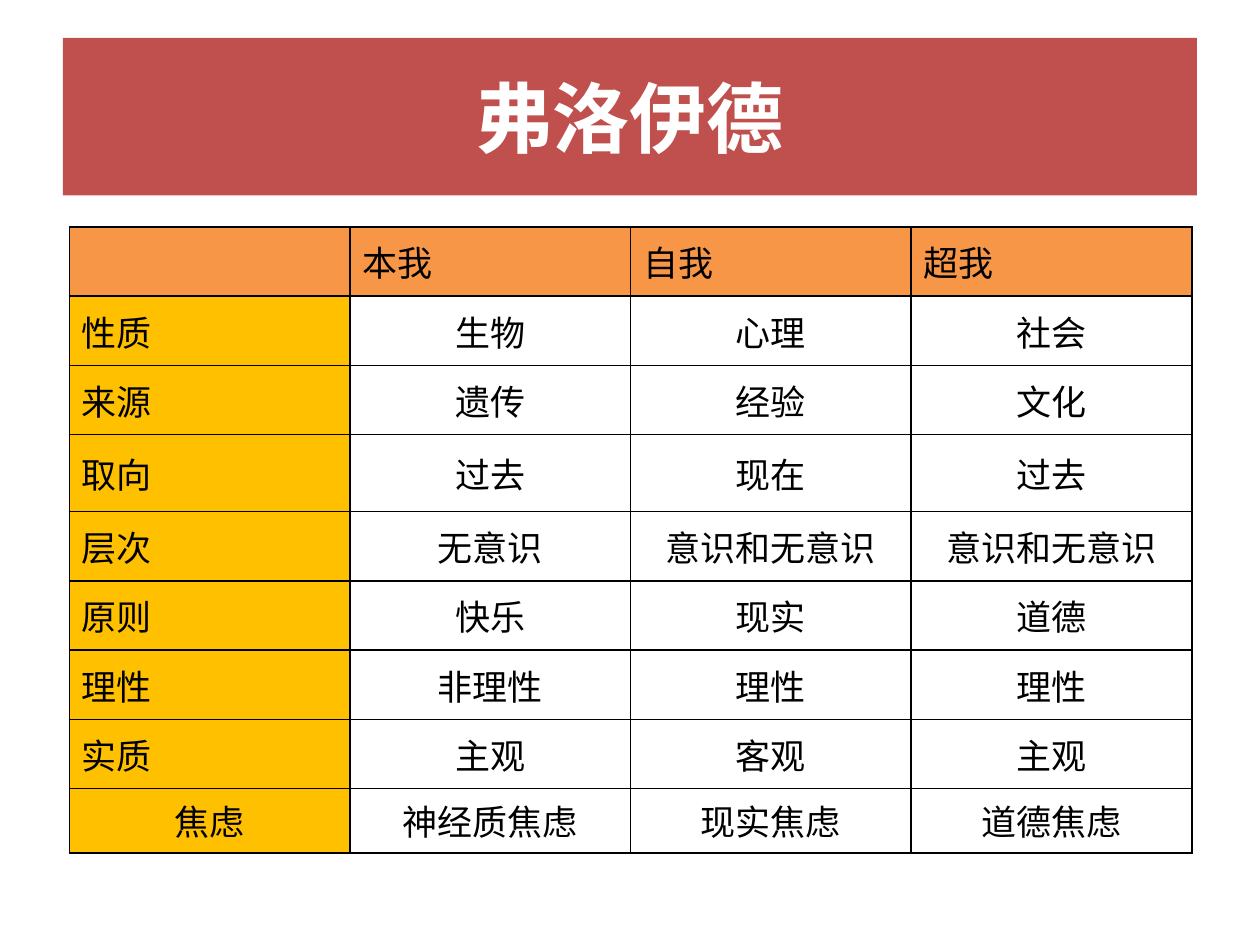
from pptx import Presentation
from pptx.dml.color import RGBColor
from pptx.enum.shapes import MSO_SHAPE
from pptx.enum.text import MSO_ANCHOR, PP_ALIGN
from pptx.oxml import parse_xml
from pptx.oxml.ns import nsdecls
from pptx.util import Inches, Pt

ROWS = [
    ["", "本我", "自我", "超我"],
    ["性质", "生物", "心理", "社会"],
    ["来源", "遗传", "经验", "文化"],
    ["取向", "过去", "现在", "过去"],
    ["层次", "无意识", "意识和无意识", "意识和无意识"],
    ["原则", "快乐", "现实", "道德"],
    ["理性", "非理性", "理性", "理性"],
    ["实质", "主观", "客观", "主观"],
    ["焦虑", "神经质焦虑", "现实焦虑", "道德焦虑"],
]
HIGH = [0.55, 0.55, 0.55, 0.61, 0.55, 0.55, 0.55, 0.55, 0.51]
LAST = len(ROWS) - 1


def paint(fill, color):
    fill.solid()
    fill.fore_color.rgb = RGBColor.from_string(color)


def write(frame, text, font, size, color, align, bold=False):
    para = frame.paragraphs[0]
    para.alignment = align
    run = para.add_run()
    run.text = text
    run.font.name = font
    run.font.size = Pt(size)
    run.font.bold = bold
    run.font.color.rgb = RGBColor.from_string(color)


def border(cell, color, width):
    props = cell._tc.get_or_add_tcPr()
    for side in ("lnL", "lnR", "lnT", "lnB"):
        props.append(parse_xml(
            f'<a:{side} {nsdecls("a")} w="{Pt(width)}"><a:solidFill>'
            f'<a:srgbClr val="{color}"/></a:solidFill></a:{side}>'))


def add_title(slide, left, top, width, height):
    bar = slide.shapes.add_shape(
        MSO_SHAPE.RECTANGLE, Inches(left), Inches(top),
        Inches(width), Inches(height))
    bar.shadow.inherit = False
    paint(bar.fill, "C0504D")
    bar.line.fill.background()
    frame = bar.text_frame
    frame.word_wrap = True
    frame.vertical_anchor = MSO_ANCHOR.MIDDLE
    write(frame, "弗洛伊德", "Calibri", 44, "FFFFFF", PP_ALIGN.CENTER, True)


def fill_cell(cell, text, row, col):
    border(cell, "000000", 1)
    head = row == 0 or col == 0
    paint(cell.fill, "F79646" if row == 0 else "FFC000" if col == 0 else "FFFFFF")
    if row < LAST:
        cell.vertical_anchor = MSO_ANCHOR.MIDDLE
        cell.margin_top = cell.margin_bottom = Inches(0.07)
    if text:
        align = PP_ALIGN.LEFT if head and row < LAST else PP_ALIGN.CENTER
        font = "Cambria" if head else "Noto Sans CJK SC"
        write(cell.text_frame, text, font, 20, "000000", align)


def add_grid(slide, left, top, width):
    count = len(ROWS[0])
    table = slide.shapes.add_table(
        len(ROWS), count, Inches(left), Inches(top),
        Inches(width), Inches(sum(HIGH))).table
    table.first_row = table.horz_banding = False
    for col in table.columns:
        col.width = Inches(width / count)
    for row, texts in enumerate(ROWS):
        table.rows[row].height = Inches(HIGH[row])
        for col, text in enumerate(texts):
            fill_cell(table.cell(row, col), text, row, col)


def main():
    deck = Presentation()
    deck.slide_width = Inches(10)
    deck.slide_height = Inches(7.5)
    slide = deck.slides.add_slide(deck.slide_layouts[6])
    add_title(slide, 0.5, 0.3, 9, 1.25)
    add_grid(slide, 0.55, 1.8, 8.91)
    deck.save("out.pptx")


if __name__ == "__main__":
    main()
